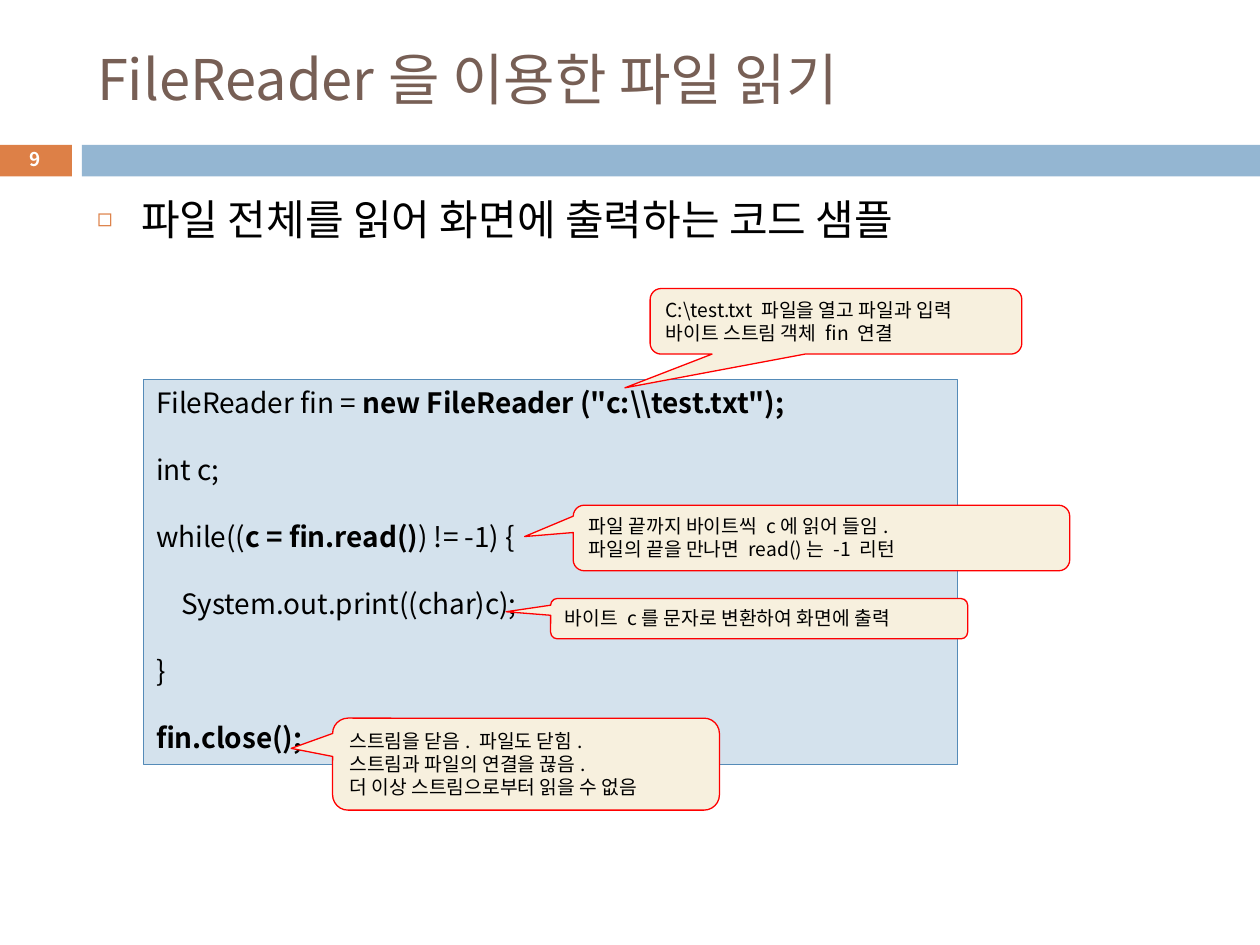
from lxml import etree
from pptx import Presentation
from pptx import util as u
from pptx.dml.color import RGBColor
from pptx.enum import shapes, text
from pptx.oxml.ns import qn

KIND = shapes.MSO_SHAPE


def tint(code):
    return RGBColor.from_string(code)


def node(base, tag, **attrs):
    return etree.SubElement(base, qn(tag), attrs)


class Deck:
    font = "Noto Sans CJK KR"
    black, white, brown = "000000", "FFFFFF", "775F55"
    orange, blue = "DD8047", "94B6D2"

    def __init__(self):
        self.prs = Presentation()
        self.prs.slide_width, self.prs.slide_height = u.Inches(10), u.Inches(7.5)
        self.slide = self.prs.slides.add_slide(self.prs.slide_layouts[1])

    def run(self, para, words, size, color=black, bold=False):
        run = para.add_run()
        run.text = words
        face = run.font
        face.name, face.size, face.bold = self.font, u.Pt(size), bold
        face.color.rgb = tint(color)
        node(run._r.get_or_add_rPr(), "a:ea", typeface=self.font)

    def frame(self, shape, anchor=text.MSO_ANCHOR.TOP):
        frame = shape.text_frame
        frame.word_wrap = True
        frame.auto_size = text.MSO_AUTO_SIZE.NONE
        frame.vertical_anchor = anchor
        return frame

    def lines(self, shape, rows, size, pitch, gap=0):
        """Each row is a list of (words, bold) runs."""
        frame = self.frame(shape)
        for i, row in enumerate(rows):
            para = frame.add_paragraph() if i else frame.paragraphs[0]
            if row[0][0].startswith("\t"):
                tabs = node(para._p.get_or_add_pPr(), "a:tabLst")
                node(tabs, "a:tab", pos=str(u.Inches(0.2)), algn="l")
            para.alignment = text.PP_ALIGN.LEFT
            para.line_spacing = u.Pt(pitch)
            para.space_before = u.Pt(gap if i else 0)
            for words, bold in row:
                self.run(para, words, size, bold=bold)

    def shape(self, kind, box, fill, line=None):
        shape = self.slide.shapes.add_shape(kind, *map(u.Inches, box))
        shape.shadow.inherit = False
        shape.fill.solid()
        shape.fill.fore_color.rgb = tint(fill)
        if line:
            shape.line.color.rgb = tint(line)
            shape.line.width = u.Pt(0.75)
        else:
            shape.line.fill.background()
        return shape

    def place(self, shape, box):
        shape.left, shape.top, shape.width, shape.height = map(u.Inches, box)

    def title(self, words, box):
        shape = self.slide.shapes.title
        self.place(shape, box)
        para = self.frame(shape, text.MSO_ANCHOR.MIDDLE).paragraphs[0]
        para.alignment = text.PP_ALIGN.LEFT
        self.run(para, words, 32, self.brown)

    def body(self, words, box):
        shape = self.slide.placeholders[1]
        self.place(shape, box)
        props = shape.text_frame.paragraphs[0]._p.get_or_add_pPr()
        dent = u.Inches(0.35)
        props.set("marL", str(dent))
        props.set("indent", str(-dent))
        node(node(props, "a:buClr"), "a:srgbClr", val=self.orange)
        node(props, "a:buSzPct", val="60000")
        node(props, "a:buChar", char="◻")
        self.lines(shape, [[(words, False)]], 24, 30)

    def number(self, words, box):
        shape = self.slide.shapes.add_textbox(*map(u.Inches, box))
        para = self.frame(shape, text.MSO_ANCHOR.MIDDLE).paragraphs[0]
        para.alignment = text.PP_ALIGN.CENTER
        self.run(para, words, 10.8, self.white, True)

    def code(self, rows, box):
        shape = self.shape(KIND.RECTANGLE, box, "D4E2ED", "558BB8")
        self.lines(shape, rows, 16, 19.2, 19.1)

    def note(self, rows, box, tip):
        shape = self.shape(KIND.ROUNDED_RECTANGULAR_CALLOUT, box, "F7F0DE", "FF0000")
        for i, part in enumerate((*tip, 0.167)):
            shape.adjustments[i] = part
        self.lines(shape, [[(row, False)] for row in rows], 11, 13.2)


def main():
    deck = Deck()

    # Band and page number
    deck.shape(KIND.RECTANGLE, (-0.01, 1.15, 0.58, 0.25), deck.orange)
    deck.shape(KIND.RECTANGLE, (0.65, 1.15, 9.35, 0.25), deck.blue)
    deck.number("9", (-0.01, 1.13, 0.58, 0.27))

    # Title and lead
    deck.title("FileReader을 이용한 파일 읽기", (0.67, 0.25, 8.92, 0.74))
    deck.body("파일 전체를 읽어 화면에 출력하는 코드 샘플", (0.67, 1.47, 8.92, 5.51))

    # Code sample
    deck.code([
        [("FileReader fin = ", False), ('new FileReader ("c:\\\\test.txt");', True)],
        [("int c;", False)],
        [("while((", False), ("c = fin.read()", True), (") != -1) {", False)],
        [("\tSystem.out.print((char)c);", False)],
        [("}", False)],
        [("fin.close();", True)],
    ], (1.14, 3.01, 6.46, 3.06))

    # Callouts: rows, box, tip of the pointer
    notes = [
        (["C:\\test.txt 파일을 열고 파일과 입력 바이트 스트림 객체 fin 연결"],
         (5.16, 2.29, 2.95, 0.52), (-0.568, 1.015)),
        (["파일 끝까지 바이트씩 c에 읽어 들임.", "파일의 끝을 만나면 read()는 -1 리턴"],
         (4.55, 4.01, 3.94, 0.52), (-0.598, -0.022)),
        (["바이트 c를 문자로 변환하여 화면에 출력"],
         (4.37, 4.75, 3.31, 0.32), (-0.607, -0.171)),
        (["스트림을 닫음. 파일도 닫힘.", "스트림과 파일의 연결을 끊음.",
          "더 이상 스트림으로부터 읽을 수 없음"],
         (2.64, 5.7, 3.07, 0.73), (-0.607, -0.171)),
    ]
    for rows, box, tip in notes:
        deck.note(rows, box, tip)

    deck.prs.save("out.pptx")


if __name__ == "__main__":
    main()
